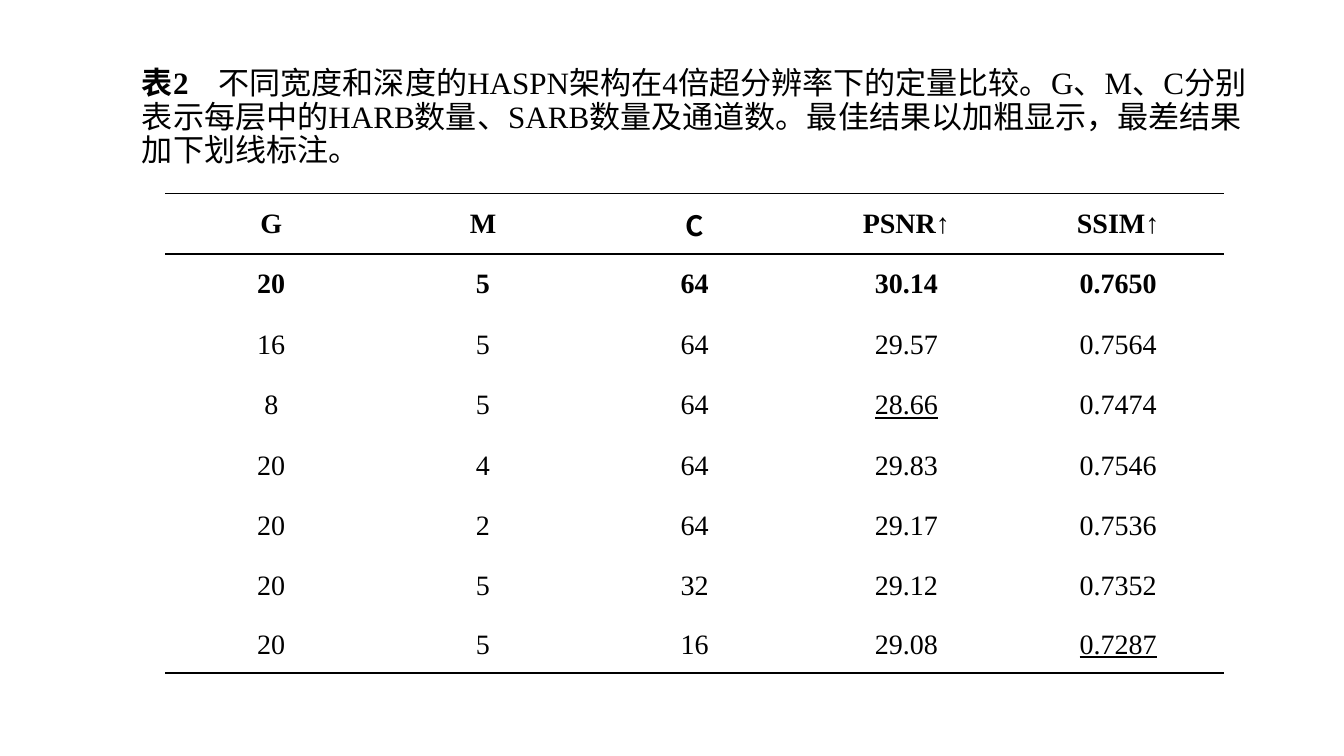
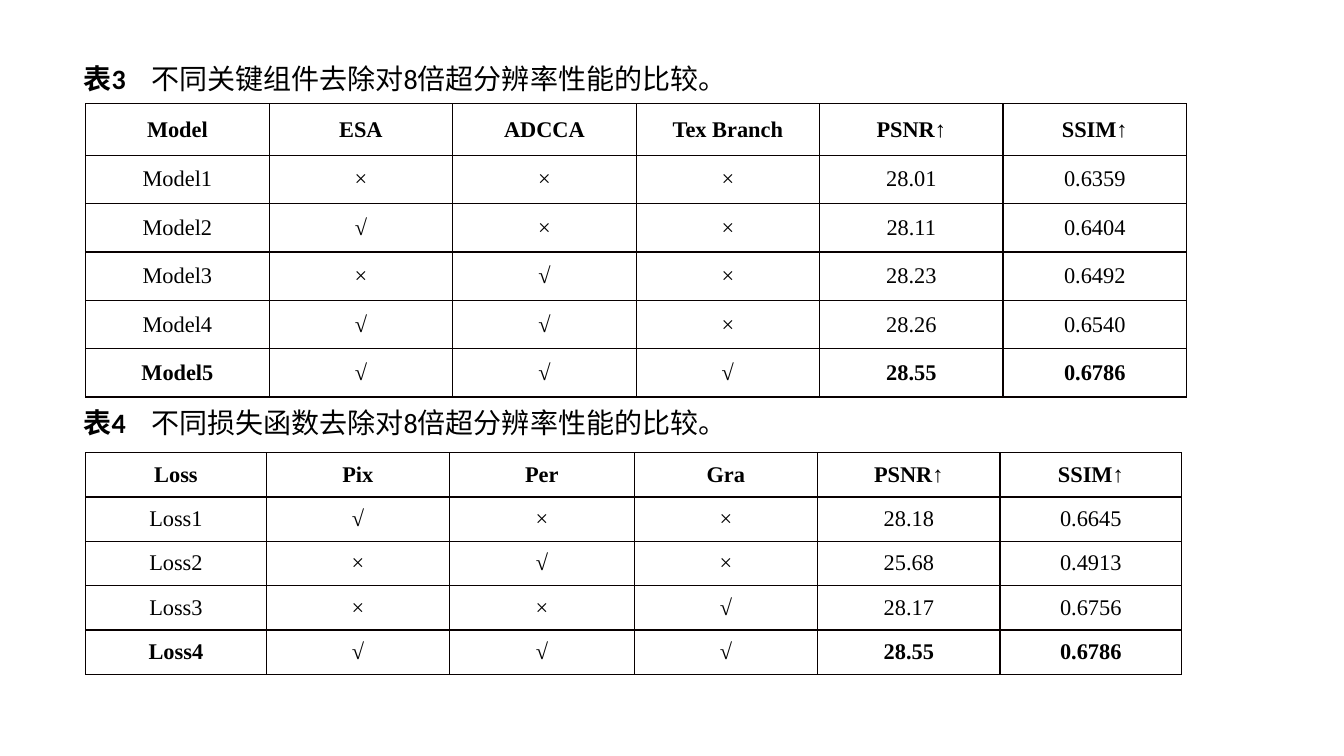
from dataclasses import dataclass

from lxml.etree import SubElement
from pptx import Presentation
from pptx.dml.color import RGBColor as Color
from pptx.enum.text import MSO_ANCHOR as Anchor, PP_ALIGN as Align
from pptx.oxml.ns import qn
from pptx.util import Inches, Pt


@dataclass(frozen=True)
class Theme:
    ink: str = "000000"
    grid: str = "080000"
    paper: str = "FFFFFF"
    serif: str = "Times New Roman"
    sans: str = "Calibri"
    chinese: str = "Noto Sans CJK SC"
    title_size: float = 22.2
    caption_size: float = 20
    large_cell: float = 20
    small_cell: float = 16
    rule_width: float = 1.5
    grid_width: float = 1


THEME = Theme()

# Table contents, header row first
SCALE_ROWS = [
    ["G", "M", "C", "PSNR↑", "SSIM↑"],
    ["20", "5", "64", "30.14", "0.7650"],
    ["16", "5", "64", "29.57", "0.7564"],
    ["8", "5", "64", "28.66", "0.7474"],
    ["20", "4", "64", "29.83", "0.7546"],
    ["20", "2", "64", "29.17", "0.7536"],
    ["20", "5", "32", "29.12", "0.7352"],
    ["20", "5", "16", "29.08", "0.7287"],
]
MODEL_ROWS = [
    ["Model", "ESA", "ADCCA", "Tex Branch", "PSNR↑", "SSIM↑"],
    ["Model1", "×", "×", "×", "28.01", "0.6359"],
    ["Model2", "√", "×", "×", "28.11", "0.6404"],
    ["Model3", "×", "√", "×", "28.23", "0.6492"],
    ["Model4", "√", "√", "×", "28.26", "0.6540"],
    ["Model5", "√", "√", "√", "28.55", "0.6786"],
]
LOSS_ROWS = [
    ["Loss", "Pix", "Per", "Gra", "PSNR↑", "SSIM↑"],
    ["Loss1", "√", "×", "×", "28.18", "0.6645"],
    ["Loss2", "×", "√", "×", "25.68", "0.4913"],
    ["Loss3", "×", "×", "√", "28.17", "0.6756"],
    ["Loss4", "√", "√", "√", "28.55", "0.6786"],
]


def format_run(run, size, latin, east_asian, bold=False, underline=False):
    font = run.font
    font.size, font.name = Pt(size), latin
    font.bold, font.underline = bold, underline
    font.color.rgb = Color.from_string(THEME.ink)
    properties = run._r.get_or_add_rPr()
    SubElement(properties, qn("a:ea"), typeface=east_asian)


def add_caption(slide, box, label, text, size, latin, text_start,
                anchor=Anchor.TOP, line_spacing=1.0):
    """Add a bold label, then the caption text from a tab stop."""
    frame = slide.shapes.add_textbox(*map(Inches, box)).text_frame
    frame.word_wrap = True
    frame.vertical_anchor = anchor
    paragraph = frame.paragraphs[0]
    tabs = SubElement(paragraph._p.get_or_add_pPr(), qn("a:tabLst"))
    SubElement(tabs, qn("a:tab"), pos=str(Inches(text_start)), algn="l")
    paragraph.line_spacing = line_spacing
    for part, bold in ((label + "\t", True), (text, False)):
        run = paragraph.add_run()
        run.text = part
        format_run(run, size, latin, THEME.chinese, bold)


def set_borders(cell, edges, color, width):
    """Draw the named edges (L, R, T, B) and clear the others."""
    properties = cell._tc.get_or_add_tcPr()
    for edge in "LRTB":
        line = SubElement(properties, qn(f"a:ln{edge}"), w=str(Pt(width)))
        if edge in edges:
            fill = SubElement(line, qn("a:solidFill"))
            SubElement(fill, qn("a:srgbClr"), val=color)
        else:
            SubElement(line, qn("a:noFill"))


def grid_edges(row, row_count):
    return "LRTB"


def three_line_edges(row, row_count):
    if row == 0:
        return "TB"
    if row == 1:
        return "T"
    return "B" if row == row_count - 1 else ""


def add_data_table(slide, left, top, widths, heights, rows, size, edges_of,
                   line, bold_rows, underlined=(), fonts=None):
    """Add a centred table; bold_rows holds row indexes, fonts maps cells."""
    frame = slide.shapes.add_table(
        len(rows), len(widths), Inches(left), Inches(top),
        Inches(sum(widths)), Inches(sum(heights)))
    table = frame.table
    table.first_row = table.horz_banding = False
    for column, width in zip(table.columns, widths):
        column.width = Inches(width)
    for row, height in zip(table.rows, heights):
        row.height = Inches(height)
    for row_index, values in enumerate(rows):
        for column_index, value in enumerate(values):
            place = (row_index, column_index)
            cell = table.cell(*place)
            set_borders(cell, edges_of(row_index, len(rows)), *line)
            cell.fill.solid()
            cell.fill.fore_color.rgb = Color.from_string(THEME.paper)
            cell.margin_left = cell.margin_right = Inches(0.07)
            cell.margin_top = cell.margin_bottom = 0
            cell.vertical_anchor = Anchor.MIDDLE
            cell.text_frame.text = value
            paragraph = cell.text_frame.paragraphs[0]
            paragraph.alignment = Align.CENTER
            font = (fonts or {}).get(place, THEME.serif)
            format_run(paragraph.runs[0], size, font, font,
                       row_index in bold_rows, place in underlined)


def build_scale_slide(slide):
    add_caption(
        slide, (1.31, 0.48, 11.17, 1.38), "表2",
        "不同宽度和深度的HASPN架构在4倍超分辨率下的定量比较。G、M、C分别表示每层中的"
        "HARB数量、SARB数量及通道数。最佳结果以加粗显示，最差结果加下划线标注。",
        THEME.title_size, THEME.serif, 0.76, Anchor.MIDDLE, 0.9)
    add_data_table(
        slide, 1.64, 1.92, [2.1] * 5, [0.6] * 6 + [0.59, 0.57], SCALE_ROWS,
        THEME.large_cell, three_line_edges, (THEME.ink, THEME.rule_width),
        bold_rows={0, 1}, underlined={(3, 3), (7, 4)},
        fonts={(0, 2): THEME.chinese})


def build_ablation_slide(slide):
    # Each block: caption top, label, caption, table top, widths, heights, rows
    blocks = [
        (0.56, "表3", "不同关键组件去除对8倍超分辨率性能的比较。",
         1.03, [1.82] * 6, [0.51] + [0.48] * 5, MODEL_ROWS),
        (3.97, "表4", "不同损失函数去除对8倍超分辨率性能的比较。",
         4.49, [1.79, 1.82, 1.83, 1.82, 1.81, 1.8], [0.44] * 5, LOSS_ROWS),
    ]
    for caption_top, label, text, table_top, widths, heights, rows in blocks:
        add_caption(slide, (0.73, caption_top, 10.9, 0.44), label, text,
                    THEME.caption_size, THEME.sans, 0.67)
        add_data_table(
            slide, 0.85, table_top, widths, heights, rows, THEME.small_cell,
            grid_edges, (THEME.grid, THEME.grid_width),
            bold_rows={0, len(rows) - 1})


def main():
    presentation = Presentation()
    presentation.slide_width = Inches(13.33)
    presentation.slide_height = Inches(7.5)
    blank = presentation.slide_layouts[6]
    for build in (build_scale_slide, build_ablation_slide):
        build(presentation.slides.add_slide(blank))
    presentation.save("out.pptx")


if __name__ == "__main__":
    main()
